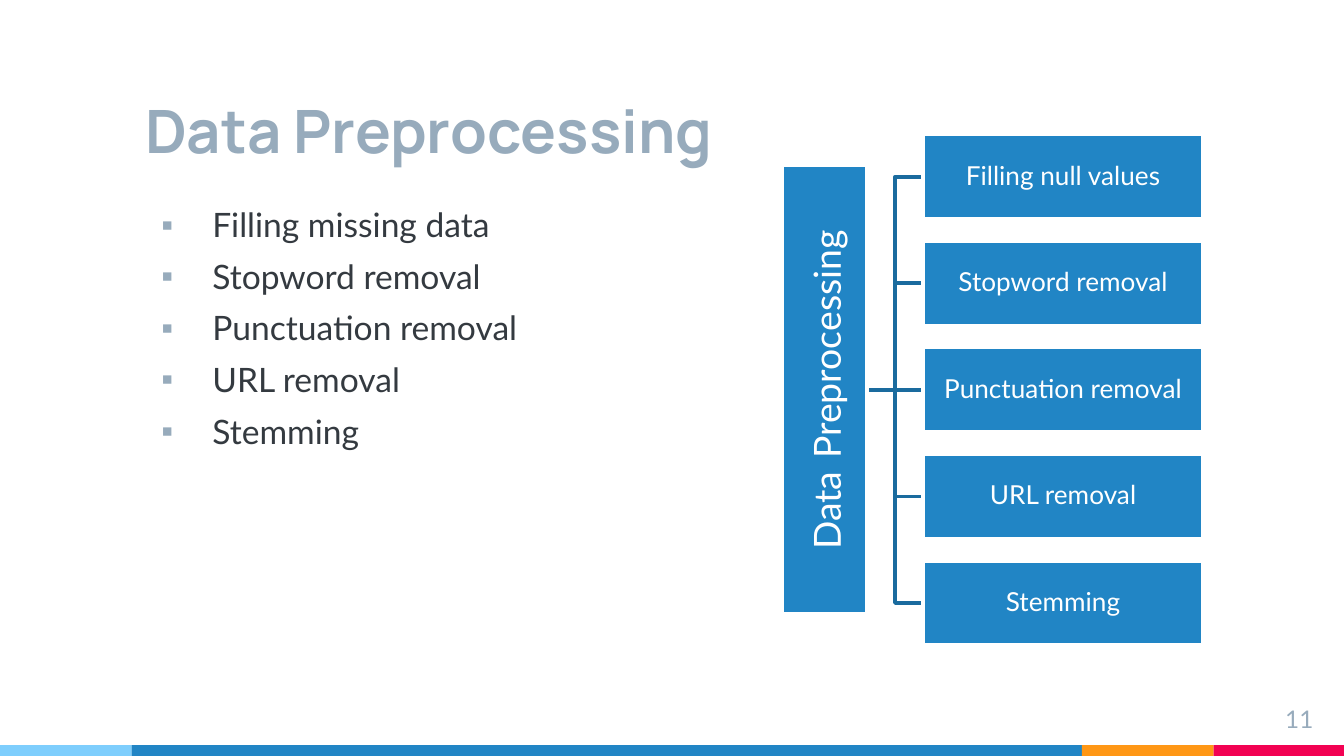
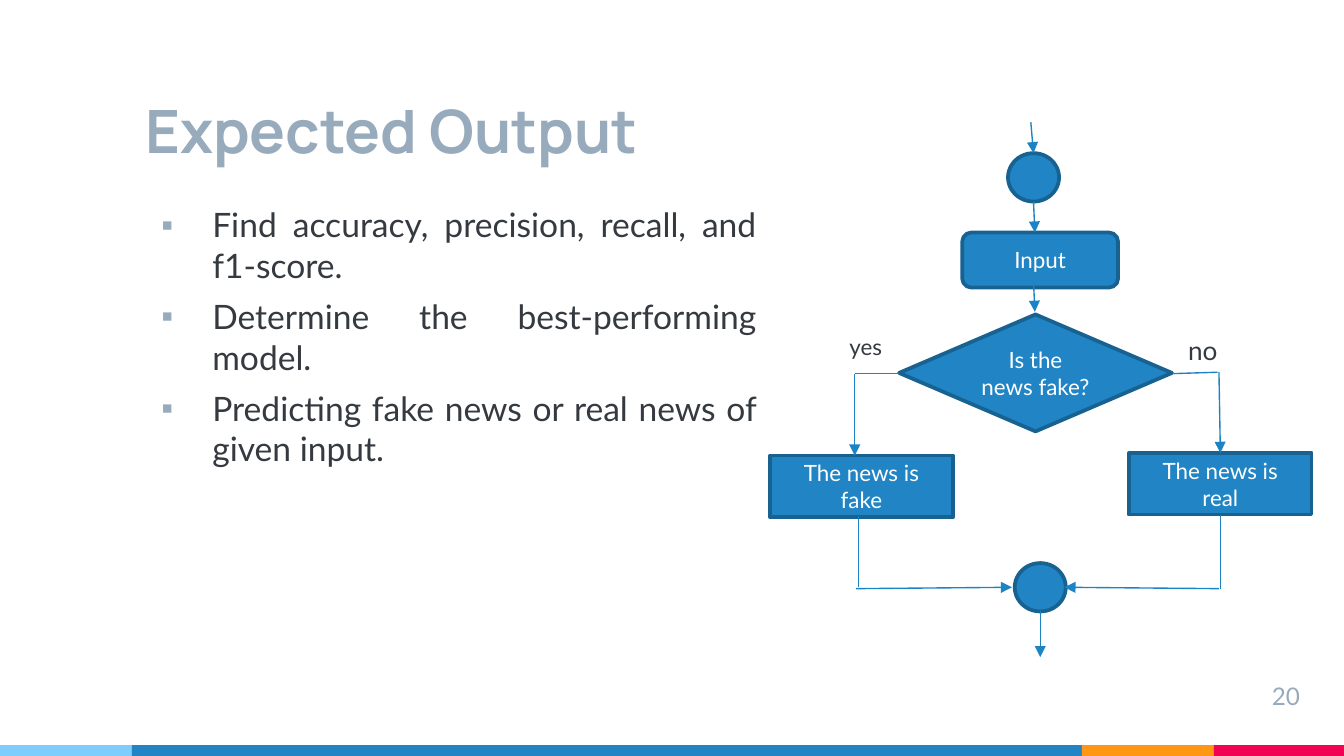
"""Build two slides: text preprocessing steps and the expected output flow."""
from lxml.etree import SubElement
from pptx import Presentation
from pptx.dml.color import RGBColor
from pptx.enum.shapes import MSO_CONNECTOR, MSO_SHAPE
from pptx.enum.text import MSO_ANCHOR, MSO_AUTO_SIZE, PP_ALIGN
from pptx.oxml.ns import qn
from pptx.util import Inches, Pt

COLORS = {
    "sky": "7ECEFD", "blue": "2185C5", "orange": "FF9715", "pink": "F20253",
    "muted": "97ABBC", "ink": "343A40", "white": "FFFFFF",
    "bracket": "1A6B9E", "outline": "186292", "arrow": "1C83C5",
}
HEADING_FONT, TEXT_FONT = "Manrope", "Lato"
COLUMNS, ROWS = 100, 56.25
MARGIN, MAIN_WIDTH = 9.8, 70.7


def cells(*counts):
    """Turn counts of tenth-inch grid cells into lengths."""
    return [Inches(count / 10) for count in counts]


def color(name):
    """Look up a palette colour."""
    return RGBColor.from_string(COLORS[name])


def place(shape, box):
    """Move a shape to a box given in grid cells."""
    shape.left, shape.top, shape.width, shape.height = cells(*box)


def add_run(paragraph, text, size, ink, font=TEXT_FONT, bold=False):
    """Append a formatted run."""
    run = paragraph.add_run()
    run.text = text
    run.font.size, run.font.name, run.font.bold = Pt(size), font, bold
    run.font.color.rgb = color(ink)


def set_frame(frame, anchor, inset=1):
    """Wrap, anchor and inset a text frame."""
    frame.word_wrap, frame.auto_size = True, MSO_AUTO_SIZE.NONE
    frame.vertical_anchor = anchor
    frame.margin_left = frame.margin_right = frame.margin_top = frame.margin_bottom = cells(inset)[0]


def add_panel(slide, preset, box, outline=None):
    """Draw a flat blue preset shape with an optional outline."""
    panel = slide.shapes.add_shape(preset, *cells(*box))
    panel.shadow.inherit = False
    panel.fill.solid()
    panel.fill.fore_color.rgb = color("blue")
    if outline:
        panel.line.color.rgb, panel.line.width = color(outline), Pt(2)
    else:
        panel.line.fill.background()
    return panel


def add_step(slide, box, runs):
    """Draw a white-edged step box with centred runs."""
    step = add_panel(slide, MSO_SHAPE.RECTANGLE, box, "white")
    set_frame(step.text_frame, MSO_ANCHOR.MIDDLE, 0.1)
    paragraph = step.text_frame.paragraphs[0]
    paragraph.alignment, paragraph.line_spacing = PP_ALIGN.CENTER, 0.9
    for text, size in runs:
        add_run(paragraph, text, size, "white")
    return step


def add_node(slide, preset, box, text=""):
    """Draw a flowchart node, labelled when it has text."""
    node = add_panel(slide, preset, box, "outline")
    if text:
        paragraph = node.text_frame.paragraphs[0]
        node.text_frame.vertical_anchor = MSO_ANCHOR.MIDDLE
        paragraph.alignment = PP_ALIGN.CENTER
        add_run(paragraph, text, 12, "white")


def add_bracket(slide, points):
    """Draw an open angular path through grid points."""
    start, *rest = [tuple(cells(*point)) for point in points]
    builder = slide.shapes.build_freeform(*start, scale=1.0)
    builder.add_line_segments(rest, close=False)
    bracket = builder.convert_to_shape()
    bracket.shadow.inherit = False
    bracket.fill.background()
    bracket.line.color.rgb, bracket.line.width = color("bracket"), Pt(2)


def add_flow(slide, start, end, arrow=True):
    """Draw a thin flow line, with an arrowhead at its end if wanted."""
    flow = slide.shapes.add_connector(MSO_CONNECTOR.STRAIGHT, *cells(*start, *end))
    flow.line.color.rgb, flow.line.width = color("arrow"), Pt(0.75)
    properties = flow.element.spPr
    if arrow:
        SubElement(properties.find(qn("a:ln")), qn("a:tailEnd"), type="triangle")
    SubElement(properties, qn("a:effectLst"))


def add_label(slide, box, text, size, ink="ink", align=PP_ALIGN.LEFT, inset=0.5):
    """Add a small text label."""
    label = slide.shapes.add_textbox(*cells(*box))
    set_frame(label.text_frame, MSO_ANCHOR.TOP, inset)
    paragraph = label.text_frame.paragraphs[0]
    paragraph.alignment = align
    add_run(paragraph, text, size, ink)


def add_bullet(paragraph, text, align):
    """Format a paragraph as a square-bulleted item."""
    paragraph.alignment, paragraph.space_before = align, Pt(6)
    add_run(paragraph, text, 18, "ink")
    properties = paragraph._p.get_or_add_pPr()
    properties.set("marL", str(Inches(0.5)))
    properties.set("indent", str(Inches(-0.38)))
    bullet_color = SubElement(properties, qn("a:buClr"))
    SubElement(bullet_color, qn("a:srgbClr"), val=COLORS["muted"])
    SubElement(properties, qn("a:buChar"), char="▪")


def add_content_slide(deck, heading, items, list_width, align, number, number_at):
    """Add a slide with heading, bulleted list and page number."""
    slide = deck.slides.add_slide(deck.slide_layouts[1])
    title, body = slide.shapes.title, slide.placeholders[1]
    place(title, (MARGIN, 3.9, MAIN_WIDTH, 9.4))
    set_frame(title.text_frame, MSO_ANCHOR.BOTTOM)
    paragraph = title.text_frame.paragraphs[0]
    paragraph.alignment = PP_ALIGN.LEFT
    add_run(paragraph, heading, 32, "muted", HEADING_FONT, True)
    place(body, (MARGIN, 14.2, list_width, 38.8))
    set_frame(body.text_frame, MSO_ANCHOR.TOP)
    for index, item in enumerate(items):
        paragraph = body.text_frame.add_paragraph() if index else body.text_frame.paragraphs[0]
        add_bullet(paragraph, item, align)
    add_label(slide, (*number_at, 6, 3.4), number, 13, "muted", PP_ALIGN.RIGHT, 1)
    return slide


def add_master_bands(deck, slide):
    """Draw the footer bands once and hand them to the slide master."""
    left = 0
    for name, width in (("sky", MARGIN), ("blue", MAIN_WIDTH), ("orange", MARGIN), ("pink", MARGIN)):
        band = add_panel(slide, MSO_SHAPE.RECTANGLE, (left, ROWS - 0.8, min(width, COLUMNS - left), 0.8))
        band.fill.fore_color.rgb = color(name)
        deck.slide_master.shapes.element.append(band.element)
        left += width


def draw_steps(slide):
    """Draw the bracketed tree of preprocessing steps."""
    steps = ("Filling null values", "Stopword removal", "Punctuation removal", "URL removal", "Stemming")
    root_right, step_left, height, pitch, top = 64.5, 68.7, 6.3, 7.93, 10
    elbow = (root_right + step_left) / 2
    middle = top + 2 * pitch + height / 2
    for index in range(len(steps)):
        center = top + index * pitch + height / 2
        add_bracket(slide, [(root_right, middle), (elbow, middle), (elbow, center), (step_left, center)])
    length = 33.4
    root_box = (root_right - (height + length) / 2, middle - height / 2, length, height)
    root = add_step(slide, root_box, [("Data", 20), (" ", 27), ("Preprocessing", 20)])
    root.rotation = 270
    for index, step in enumerate(steps):
        add_step(slide, (step_left, top + index * pitch, 20.8, height), [(step, 14)])


def draw_decision(slide):
    """Draw the flowchart that sorts news into fake and real."""
    for preset, box, text in (
        (MSO_SHAPE.OVAL, (75, 11.4, 3.8, 3.6), ""),
        (MSO_SHAPE.ROUNDED_RECTANGLE, (71.6, 17.3, 11.6, 4.1), "Input"),
        (MSO_SHAPE.DIAMOND, (66.9, 23.4, 20.3, 8.7), "Is the news fake?"),
        (MSO_SHAPE.RECTANGLE, (57.3, 33.9, 13.6, 4.6), "The news is fake"),
        (MSO_SHAPE.RECTANGLE, (84, 33.7, 13.6, 4.6), "The news is real"),
        (MSO_SHAPE.OVAL, (75.5, 41.9, 3.8, 3.6), ""),
    ):
        add_node(slide, preset, box, text)
    for start, end in (
        ((76.7, 9.1), (76.9, 11.4)), ((76.9, 15), (77, 17.3)), ((76.9, 20.9), (77, 23.2)),
        ((63.6, 27.8), (63.6, 33.9)), ((90.7, 27.7), (90.8, 33.7)),
        ((63.7, 43.8), (75.3, 43.7)), ((90.7, 43.8), (79.2, 43.7)), ((77.4, 45.5), (77.4, 48.9)),
    ):
        add_flow(slide, start, end)
    for start, end in (
        ((66.9, 27.8), (63.6, 27.8)), ((90.6, 27.7), (87.3, 27.8)),
        ((63.9, 43.7), (63.9, 38.4)), ((90.8, 43.8), (90.8, 38.3)),
    ):
        add_flow(slide, start, end, arrow=False)
    add_label(slide, (62.7, 24.3, 4.8, 3), "yes", 12)
    add_label(slide, (87.9, 24.4, 5, 3.4), "no", 14)


def main():
    """Build and save the deck."""
    deck = Presentation()
    deck.slide_width, deck.slide_height = cells(COLUMNS, ROWS)
    preprocessing = add_content_slide(
        deck, "Data Preprocessing",
        ("Filling missing data", "Stopword removal", "Punctuation removal", "URL removal", "Stemming"),
        MAIN_WIDTH, PP_ALIGN.LEFT, "11", (92.7, 51.4))
    add_master_bands(deck, preprocessing)
    draw_steps(preprocessing)
    output = add_content_slide(
        deck, "Expected Output",
        ("Find accuracy, precision, recall, and f1-score.", "Determine the best-performing model.",
         "Predicting fake news or real news of given input."),
        47.5, PP_ALIGN.JUSTIFY, "20", (91.7, 49.7))
    draw_decision(output)
    deck.save("out.pptx")


if __name__ == "__main__":
    main()
